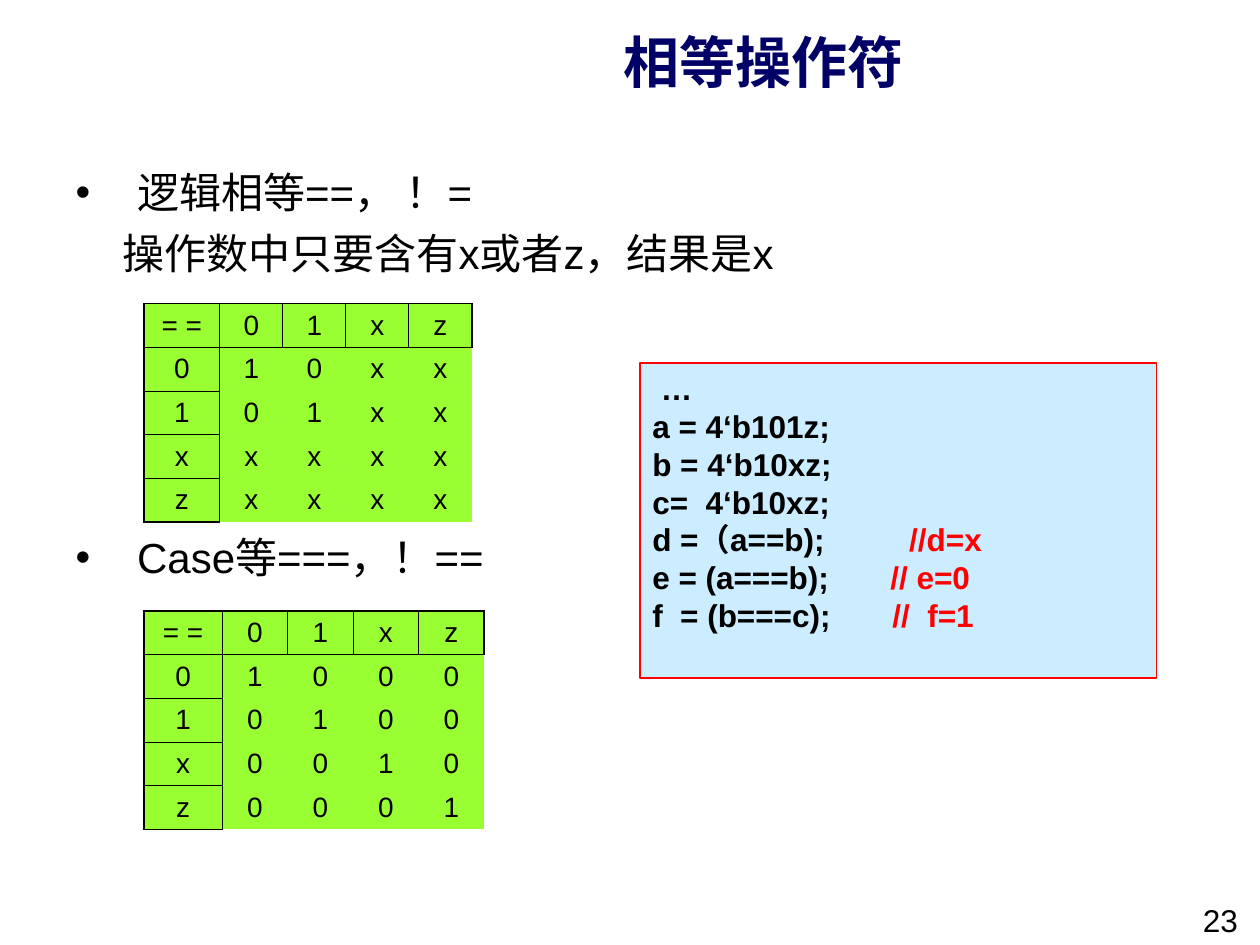
import pptx
import pptx.util
import pptx.dml.color
import pptx.enum.shapes
import pptx.enum.text
import pptx.oxml.ns
from lxml import etree
from pptx.util import Cm, Pt

COLORS = {
    "title": "000066",
    "text": "000000",
    "comment": "FF0000",
    "cell": "99FF33",
    "code": "CCECFF",
}
qn = pptx.oxml.ns.qn
PP_ALIGN = pptx.enum.text.PP_ALIGN
MIDDLE = pptx.enum.text.MSO_ANCHOR.MIDDLE
NO_STYLE = "{2D5ABB26-0587-4C30-8999-92F81FD0307C}"


def rgb(name):
    return pptx.dml.color.RGBColor.from_string(COLORS[name])


def add_span(para, text, size, color="text", bold=False):
    span = para.add_run()
    span.text = text
    span.font.name = "Arial"
    span.font.size = Pt(size)
    span.font.bold = bold
    span.font.color.rgb = rgb(color)


deck = pptx.Presentation()
deck.slide_width, deck.slide_height = Cm(25.4), Cm(19.05)
page = deck.slides.add_slide(deck.slide_layouts[1])

# Title
title = page.shapes.title
title.left, title.top, title.width, title.height = Cm(6.3), Cm(0.18), Cm(18.19), Cm(2.11)
title.text_frame.vertical_anchor = MIDDLE
para = title.text_frame.paragraphs[0]
para.alignment = PP_ALIGN.CENTER
add_span(para, "相等操作符", 32, "title", True)

# Bullet list; the large gap leaves room for the first table
body = page.placeholders[1]
body.left, body.top, body.width, body.height = Cm(1.27), Cm(3.23), Cm(22.43), Cm(14.1)
body.text_frame.auto_size = pptx.enum.text.MSO_AUTO_SIZE.NONE
lines = [
    ("逻辑相等==， ！=", True, 0),
    ("操作数中只要含有x或者z，结果是x", False, 6),
    ("Case等===，！==", True, 145),
]
for i, (text, bulleted, gap) in enumerate(lines):
    para = body.text_frame.paragraphs[0] if i == 0 else body.text_frame.add_paragraph()
    props = para._p.get_or_add_pPr()
    props.set("marL", str(Cm(1.24 if bulleted else 0.95)))
    props.set("indent", str(Cm(-1.24 if bulleted else 0)))
    if not bulleted:
        etree.SubElement(props, qn("a:buNone"))
    para.space_before = Pt(gap)
    add_span(para, text, 24)

# Truth tables: top, first column width, other column width, rows
truth_tables = [
    (6.12, 1.53, 1.27, ["01xz", "10xx", "01xx", "xxxx", "xxxx"]),
    (12.32, 1.58, 1.32, ["01xz", "1000", "0100", "0010", "0001"]),
]
row_labels = ["= =", "0", "1", "x", "z"]
for top, label_width, value_width, rows in truth_tables:
    frame = page.shapes.add_table(
        5, 5, Cm(2.9), Cm(top), Cm(label_width + 4 * value_width), Cm(4.4)
    )
    table = frame.table
    table._tbl.tblPr.find(qn("a:tableStyleId")).text = NO_STYLE
    table.first_row = table.horz_banding = False
    for c, column in enumerate(table.columns):
        column.width = Cm(value_width if c else label_width)
    for r, values in enumerate(rows):
        table.rows[r].height = Cm(0.88)
        for c, text in enumerate([row_labels[r], *values]):
            cell = table.cell(r, c)
            cell.vertical_anchor = MIDDLE
            cell.margin_top = cell.margin_bottom = Cm(0.1)
            para = cell.text_frame.paragraphs[0]
            para.alignment = PP_ALIGN.CENTER
            add_span(para, text, 16)
            # Row and column labels are boxed, with a thicker outer edge
            label = r == 0 or c == 0
            borders = [
                ("a:lnL", label or c == 1, c == 0),
                ("a:lnR", label, c == 4),
                ("a:lnT", label or r == 1, r == 0),
                ("a:lnB", label, r == 4),
            ]
            for tag, shown, outer in borders:
                width = Pt(1.08 if outer else 0.45)
                line = etree.SubElement(cell._tc.get_or_add_tcPr(), qn(tag), w=str(width))
                if shown:
                    fill = etree.SubElement(line, qn("a:solidFill"))
                    etree.SubElement(fill, qn("a:srgbClr"), val=COLORS["text"])
                else:
                    etree.SubElement(line, qn("a:noFill"))
            cell.fill.solid()
            cell.fill.fore_color.rgb = rgb("cell")

# Code box: code, comment, tab position of the comment
code_lines = [
    (" …", "", 0),
    ("a = 4‘b101z;", "", 0),
    ("b = 4‘b10xz;", "", 0),
    ("c=  4‘b10xz;", "", 0),
    ("d =（a==b);", "//d=x", 5.18),
    ("e = (a===b);", "// e=0", 4.8),
    ("f  = (b===c);", "//  f=1", 4.84),
]
box = page.shapes.add_shape(
    pptx.enum.shapes.MSO_SHAPE.RECTANGLE, Cm(12.9), Cm(7.32), Cm(10.41), Cm(6.35)
)
box.shadow.inherit = False
box.fill.solid()
box.fill.fore_color.rgb = rgb("code")
box.line.color.rgb = rgb("comment")
box.line.width = Pt(0.75)
box.text_frame.word_wrap = True
box.text_frame.vertical_anchor = pptx.enum.text.MSO_ANCHOR.TOP
for i, (code, comment, stop) in enumerate(code_lines):
    para = box.text_frame.paragraphs[0] if i == 0 else box.text_frame.add_paragraph()
    para.alignment = PP_ALIGN.LEFT
    if comment:
        tabs = etree.SubElement(para._p.get_or_add_pPr(), qn("a:tabLst"))
        etree.SubElement(tabs, qn("a:tab"), pos=str(Cm(stop)), algn="l")
        add_span(para, code + "\t", 18, bold=True)
        add_span(para, comment, 18, "comment", True)
    else:
        add_span(para, code, 18, bold=True)

# Page number
number = page.shapes.add_textbox(Cm(24), Cm(18.03), Cm(1.4), Cm(1.02))
number.text_frame.word_wrap = True
add_span(number.text_frame.paragraphs[0], "23", 18)

deck.save("out.pptx")
